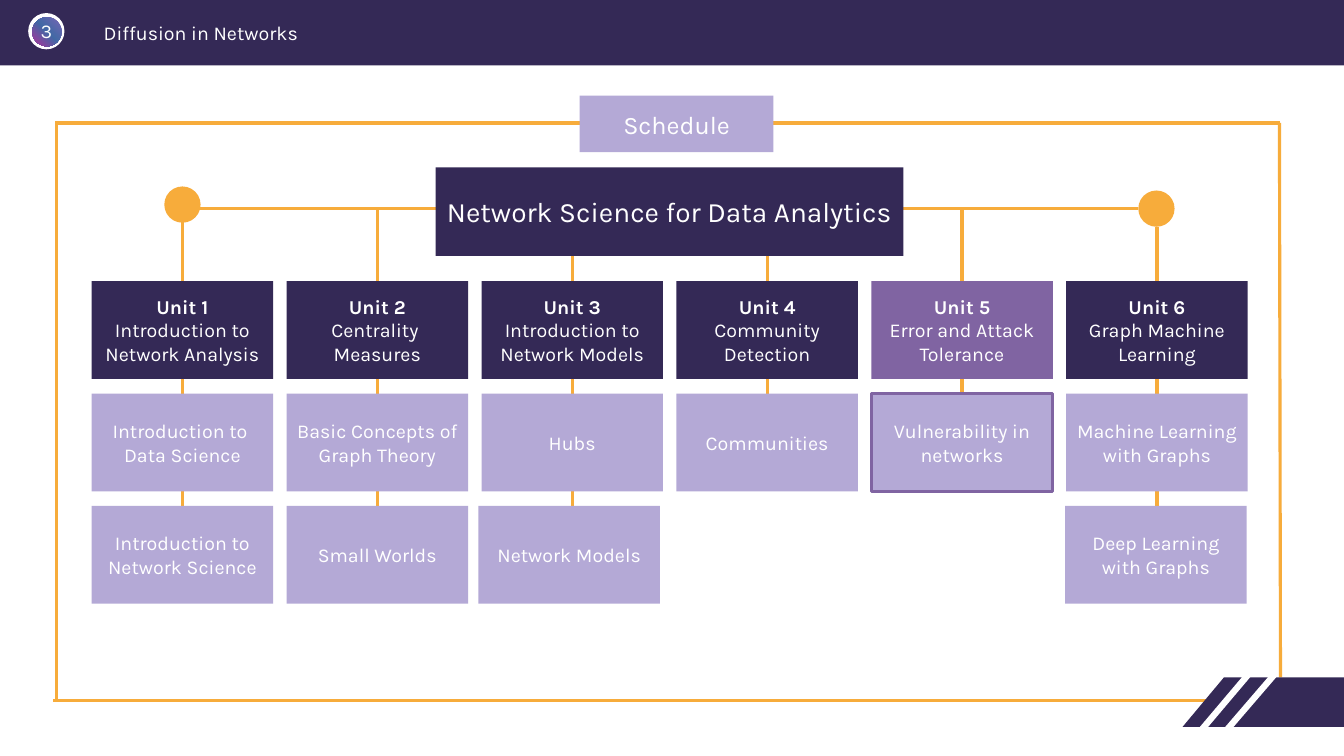
from copy import deepcopy

from lxml import etree
from pptx import Presentation
from pptx.dml.color import RGBColor
from pptx.enum.shapes import MSO_CONNECTOR, MSO_SHAPE
from pptx.enum.text import MSO_ANCHOR, PP_ALIGN
from pptx.oxml.ns import qn
from pptx.util import Inches, Pt

RECTANGLE, OVAL = MSO_SHAPE.RECTANGLE, MSO_SHAPE.OVAL
STRAIGHT = MSO_CONNECTOR.STRAIGHT
LEFT, CENTER = PP_ALIGN.LEFT, PP_ALIGN.CENTER
TOP, MIDDLE = MSO_ANCHOR.TOP, MSO_ANCHOR.MIDDLE

FONT = "Karla"
COLORS = {
    "navy": "342956", "lilac": "B4A9D6", "purple": "8064A2",
    "orange": "F7AC3B", "white": "FFFFFF",
}
BADGE_STOPS = [(0, "7864B5"), (0.49, "4269A5"), (1, "B2329A")]

# Grid of unit and topic boxes
GRID_LEFT, GRID_TOP = 0.91, 2.79
COLUMN_STEP, ROW_STEP = 1.933, 1.115
BOX_WIDTH, BOX_HEIGHT = 1.8, 0.97
CURRENT_UNIT = 5
NUDGES = {"Network Models": -0.03, "Deep Learning\u0020with Graphs": -0.01}

# Unit subject, its topics, top and bottom of its branch line
UNITS = [
    ("Introduction to Network Analysis",
     ["Introduction to \nData Science", "Introduction to Network Science"], 2.19, 5.76),
    ("Centrality \nMeasures",
     ["Basic Concepts of Graph Theory", "Small Worlds"], 2.07, 5.21),
    ("Introduction to Network Models", ["Hubs", "Network Models"], 2.42, 5.76),
    ("Community Detection", ["Communities"], 2.19, 4.67),
    ("Error and Attack Tolerance", ["Vulnerability in networks"], 2.07, 4.81),
    ("Graph Machine Learning",
     ["Machine Learning with Graphs", "Deep Learning with Graphs"], 2.25, 5.76),
]


def rgb(name):
    return RGBColor.from_string(COLORS[name])


def write_text(shape, text, size, align=CENTER, anchor=MIDDLE, bold_first=False):
    frame = shape.text_frame
    frame.word_wrap = True
    frame.vertical_anchor = anchor
    frame.text = text
    for index, paragraph in enumerate(frame.paragraphs):
        paragraph.alignment = align
        paragraph.font.name = FONT
        paragraph.font.size = Pt(size)
        paragraph.font.bold = bold_first and index == 0
        paragraph.font.color.rgb = rgb("white")


def add_figure(slide, kind, left, top, width, height, color, outline=None):
    shape = slide.shapes.add_shape(
        kind, Inches(left), Inches(top), Inches(width), Inches(height))
    shape.shadow.inherit = False
    shape.fill.solid()
    shape.fill.fore_color.rgb = rgb(color)
    if outline:
        shape.line.color.rgb = rgb(outline)
        shape.line.width = Pt(2.25)
    else:
        shape.line.fill.background()
    return shape


def add_box(slide, left, top, width, height, color, text, size=14,
            outline=None, bold_first=False):
    shape = add_figure(slide, RECTANGLE, left, top, width, height, color, outline)
    write_text(shape, text, size, bold_first=bold_first)


def add_label(slide, left, top, width, height, text, align, margin):
    label = slide.shapes.add_textbox(
        Inches(left), Inches(top), Inches(width), Inches(height))
    write_text(label, text, 14, align, TOP)
    frame = label.text_frame
    frame.margin_left = frame.margin_right = Inches(margin)
    frame.margin_top = frame.margin_bottom = Inches(margin / 2)


def add_line(slide, x1, y1, x2, y2, color="orange", width=2.25):
    line = slide.shapes.add_connector(
        STRAIGHT, Inches(x1), Inches(y1), Inches(x2), Inches(y2))
    line.line.color.rgb = rgb(color)
    line.line.width = Pt(width)
    etree.SubElement(line.element.spPr, qn("a:effectLst"))


def add_badge(slide):
    add_figure(slide, OVAL, 0.28, 0.13, 0.36, 0.36, "white")
    disc = add_figure(slide, OVAL, 0.32, 0.17, 0.29, 0.29, "navy")
    disc.fill.gradient()
    disc.fill.gradient_angle = 225
    # The default gradient has two stops; a third is needed
    stop_list = disc.element.spPr.find(qn("a:gradFill")).find(qn("a:gsLst"))
    stop_list.append(deepcopy(stop_list[0]))
    for stop, (position, color) in zip(disc.fill.gradient_stops, BADGE_STOPS):
        stop.position = position
        stop.color.rgb = RGBColor.from_string(color)


def add_frame(slide):
    add_line(slide, 12.7, 6.72, 12.69, 1.22)
    add_line(slide, 0.56, 6.95, 0.56, 1.2)
    add_line(slide, 0.53, 6.95, 12.1, 6.95)
    add_line(slide, 0.56, 1.22, 12.7, 1.22)


def add_corner(slide):
    points = [(Inches(x), Inches(y)) for x, y in
              [(12.14, 6.72), (13.33, 6.72), (13.33, 7.21), (11.73, 7.21)]]
    builder = slide.shapes.build_freeform(*points[0])
    builder.add_line_segments(points[1:], close=True)
    corner = builder.convert_to_shape()
    corner.shadow.inherit = False
    corner.fill.solid()
    corner.fill.fore_color.rgb = rgb("navy")
    corner.line.fill.background()
    add_line(slide, 11.85, 7.32, 12.45, 6.61, "white", 4.5)
    add_line(slide, 12.1, 7.32, 12.65, 6.68, "white", 4.5)


def add_unit(slide, number, subject, topics, branch_top, branch_bottom):
    left = GRID_LEFT + (number - 1) * COLUMN_STEP
    center = left + BOX_WIDTH / 2
    current = number == CURRENT_UNIT
    add_line(slide, center, branch_top, center, branch_bottom)
    add_box(slide, left, GRID_TOP, BOX_WIDTH, BOX_HEIGHT,
            "purple" if current else "navy", f"Unit {number}\n{subject}",
            bold_first=True)
    for row, topic in enumerate(topics, start=1):
        add_box(slide, left + NUDGES.get(topic, 0), GRID_TOP + row * ROW_STEP,
                BOX_WIDTH, BOX_HEIGHT, "lilac", topic,
                outline="purple" if current else None)


def main():
    presentation = Presentation()
    presentation.slide_width = Inches(13.33)
    presentation.slide_height = Inches(7.5)
    slide = presentation.slides.add_slide(presentation.slide_layouts[6])

    # Header band
    add_figure(slide, RECTANGLE, 0, -0.03, 13.33, 0.68, "navy")
    add_badge(slide)
    add_label(slide, 0.93, 0.16, 5.61, 0.3, "Diffusion in Networks", LEFT, 0.1)
    add_label(slide, 0.28, 0.19, 0.36, 0.24, "3", CENTER, 0)

    # Frame with its title and corner
    add_frame(slide)
    add_corner(slide)
    add_box(slide, 5.75, 0.95, 1.92, 0.56, "lilac", "Schedule", 18)

    # Course tree
    add_line(slide, 1.81, 2.07, 11.29, 2.07)
    for number, unit in enumerate(UNITS, start=1):
        add_unit(slide, number, *unit)
    add_box(slide, 4.32, 1.66, 4.64, 0.88, "navy",
            "Network Science for Data Analytics", 20)
    for left, top in [(1.63, 1.85), (11.29, 1.89)]:
        add_figure(slide, OVAL, left, top, 0.36, 0.36, "orange")

    presentation.save("out.pptx")


if __name__ == "__main__":
    main()
